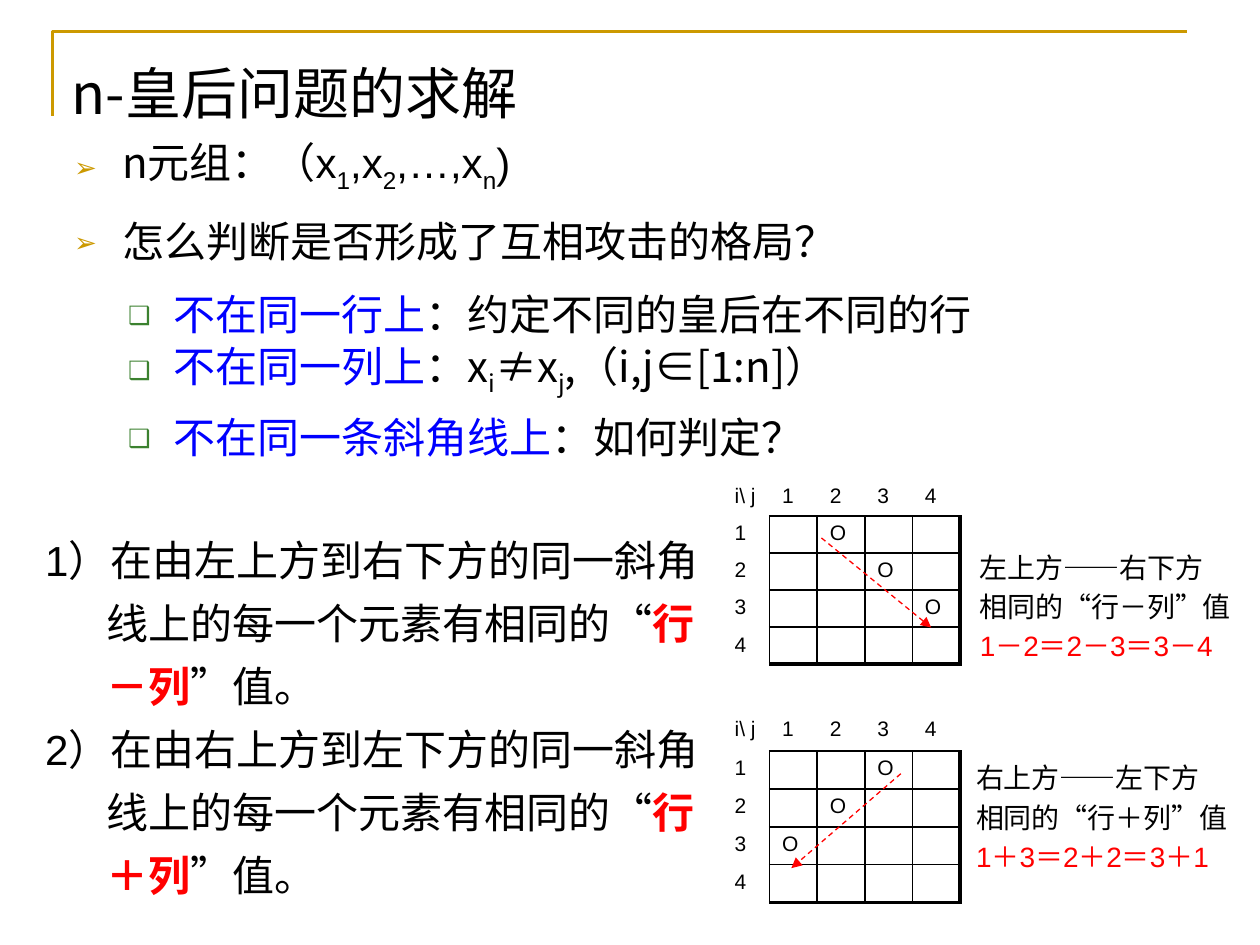
from lxml import etree
from pptx import Presentation
from pptx import util as u
from pptx.dml import color, fill as fills
from pptx.enum import dml, shapes, text
from pptx.oxml import ns

Pt = u.Pt
BLACK = color.RGBColor(0x00, 0x00, 0x00)
WHITE = color.RGBColor(0xFF, 0xFF, 0xFF)
RED = color.RGBColor(0xFF, 0x00, 0x00)
BLUE = color.RGBColor(0x00, 0x00, 0xFF)
GOLD = color.RGBColor(0xCC, 0x99, 0x00)
GREEN = color.RGBColor(0x3B, 0x81, 0x2F)
ARIAL = "Arial"
NOTO = "Noto Sans CJK SC"
ARROW_BULLET = ("➢", GOLD, 65)
SQUARE_BULLET = ("❑", GREEN, 60)


def add_node(parent, tag, **attributes):
    return etree.SubElement(parent, ns.qn(tag), **attributes)


class SlideWriter:
    def __init__(self, page):
        self.page = page

    def span(self, para, words, size, ink=BLACK, font=ARIAL, bold=False, sub=False):
        span = para.add_run()
        span.text = words
        span.font.size = Pt(size)
        span.font.name = font
        span.font.bold = bold
        span.font.color.rgb = ink
        props = span.font._element
        add_node(props, "a:ea", typeface=NOTO)
        if sub:
            props.set("baseline", "-25000")

    def para(self, frame, index, spans, size, margin=0, indent=0, before=0,
             leading=None, bullet=None):
        para = frame.paragraphs[0] if index == 0 else frame.add_paragraph()
        para.alignment = text.PP_ALIGN.LEFT
        para.space_before = Pt(before)
        if leading:
            para.line_spacing = Pt(leading)
        props = para._p.get_or_add_pPr()
        props.set("marL", str(Pt(margin)))
        props.set("indent", str(Pt(indent)))
        if bullet:
            symbol, ink, percent = bullet
            add_node(add_node(props, "a:buClr"), "a:srgbClr", val=str(ink))
            add_node(props, "a:buSzPct", val=str(percent * 1000))
            add_node(props, "a:buFont", typeface=NOTO)
            add_node(props, "a:buChar", char=symbol)
        for words, style in spans:
            self.span(para, words, size, **style)

    def text(self, area, paras, size, gaps, filled=False, middle=False, **layout):
        area = [Pt(value) for value in area]
        if filled:
            box = self.page.shapes.add_shape(shapes.MSO_SHAPE.RECTANGLE, *area)
            box.shadow.inherit = False
            box.fill.solid()
            box.fill.fore_color.rgb = WHITE
            box.line.fill.background()
        else:
            box = self.page.shapes.add_textbox(*area)
        frame = box.text_frame
        frame.word_wrap = True
        frame.vertical_anchor = text.MSO_ANCHOR.MIDDLE if middle else text.MSO_ANCHOR.TOP
        for index, (spans, gap) in enumerate(zip(paras, gaps)):
            self.para(frame, index, spans, size, before=gap, **layout)

    def outline(self, points):
        points = [(Pt(x), Pt(y)) for x, y in points]
        builder = self.page.shapes.build_freeform(*points[0])
        builder.add_line_segments(points[1:], close=False)
        frame = builder.convert_to_shape()
        frame.shadow.inherit = False
        frame.fill.background()
        frame.line.color.rgb = GOLD
        frame.line.width = Pt(1.5)

    def arrow(self, start, end):
        ends = [Pt(value) for value in start + end]
        arrow = self.page.shapes.add_connector(shapes.MSO_CONNECTOR.STRAIGHT, *ends)
        arrow.line.color.rgb = RED
        arrow.line.width = Pt(0.75)
        arrow.line.dash_style = dml.MSO_LINE.DASH
        add_node(arrow.line._get_or_add_ln(), "a:tailEnd", type="triangle")
        add_node(arrow._element.spPr, "a:effectLst")

    def border(self, cell, side, ink, width):
        props = cell._tc.get_or_add_tcPr()
        edge = add_node(props, "a:ln" + side, w=str(Pt(width)))
        add_node(add_node(edge, "a:solidFill"), "a:srgbClr", val=str(ink))

    def board(self, left, top, header, height, queens, filled):
        count = 5
        width = 27.2
        frame = self.page.shapes.add_table(
            count, count, Pt(left), Pt(top), Pt(width * count),
            Pt(header + height * (count - 1)))
        table = frame.table
        table.first_row = table.horz_banding = False
        for column in table.columns:
            column.width = Pt(width)
        for r, row in enumerate(table.rows):
            row.height = Pt(height if r else header)
            for c, cell in enumerate(row.cells):
                label = "O" if (r, c) in queens else ""
                if r * c == 0:
                    label = str(r + c) if r + c else "i\\ j"
                self.cell(cell, label, filled)
                edges = {
                    "L": (r and c, 1),
                    "R": (r, 2.25 if r and c == count - 1 else 1),
                    "T": (r and c, 1),
                    "B": (c, 2.25 if c and r == count - 1 else 1),
                }
                for side, (inside, weight) in edges.items():
                    self.border(cell, side, BLACK if inside else WHITE, weight)
                if filled:
                    cell.fill.solid()
                    cell.fill.fore_color.rgb = WHITE
                else:
                    cell.fill.background()

    def cell(self, cell, label, filled):
        cell.margin_top = cell.margin_bottom = Pt(3.4)
        para = cell.text_frame.paragraphs[0]
        if label:
            self.span(para, label, 12)
        else:
            add_node(para._p, "a:endParaRPr", sz="1200")


def main():
    deck = Presentation()
    deck.slide_width, deck.slide_height = Pt(720), Pt(540)
    writer = SlideWriter(deck.slides.add_slide(deck.slide_layouts[6]))
    plain, noto, sub = {}, {"font": NOTO}, {"font": NOTO, "sub": True}
    arial_sub = {"sub": True}
    blue = {"font": NOTO, "ink": BLUE}
    red = {"ink": RED}
    strong = {"ink": RED, "bold": True}

    def rule(area, filled, start, end, sign, sums):
        paras = [[(f"{start}——{end}", plain)],
                 [(f"相同的“行{sign}列”值", plain)], [(sums, red)]]
        writer.text(area, paras, 16, (2, 3.2, 3.2), filled,
                    margin=52.5, indent=-26, leading=19.2)

    writer.outline([(30.2, 66.2), (30.2, 18), (678.2, 18)])
    rule((524.2, 431.3, 192.2, 67.7), True,
         "右上方", "左下方", "＋", "1＋3＝2＋2＝3＋1")
    writer.text((33.8, 24.5, 648, 56.2), [[("n-皇后问题的求解", noto)]], 32, (0,),
                middle=True)

    topics = [
        (119.5, [("怎么判断是否形成了互相攻击的格局？", noto)]),
        (78.5, [("n元组", noto), ("：（x", plain), ("1", arial_sub), (",x", plain),
                ("2", arial_sub), (",…,x", plain), ("n", arial_sub), (")", plain)]),
    ]
    for top, spans in topics:
        writer.text((35.3, top, 641.5, 47.5), [spans], 24, (2.5,), margin=27.4,
                    indent=-27.4, leading=28.8, bullet=ARROW_BULLET)

    conditions = [
        [("不在同一行上", blue), ("：约定不同的皇后在不同的行", plain)],
        [("不在同一列上", blue), ("：", plain), ("x", noto), ("i", sub), ("≠x", noto),
         ("j", sub), (",（i,j∈[1:n]）", noto)],
        [("不在同一条斜角线上", blue), ("：如何判定？", plain)],
    ]
    writer.text((39.6, 161.3, 641.5, 110.2), conditions, 24, (3, 4.8, 8),
                margin=52.5, indent=-26, leading=28.8, bullet=SQUARE_BULLET)

    diagonals = [
        [(opening, plain), (f"行{sign}列", strong), ("”值。", plain)]
        for opening, sign in (
            ("1）在由左上方到右下方的同一斜角 线上的每一个元素有相同的“", "－"),
            ("2）在由右上方到左下方的同一斜角线上的每一个元素有相同的“", "＋"))
    ]
    writer.text((18.7, 294.5, 398.2, 244), diagonals, 24, (0, 0), True,
                margin=35.3, indent=-35.3, leading=36)

    writer.board(412.6, 273.6, 21.2, 20.8, {(1, 2), (2, 3), (3, 4)}, False)
    rule((526.3, 311, 193, 110.2), False,
         "左上方", "右下方", "－", "1－2＝2－3＝3－4")
    writer.arrow((469.4, 307.4), (532.1, 358.6))
    writer.board(412.6, 406.8, 22.3, 21.7, {(1, 3), (2, 2), (3, 1)}, True)
    writer.arrow((514.8, 442.1), (452.2, 496.1))
    deck.save("out.pptx")


if __name__ == "__main__":
    main()
